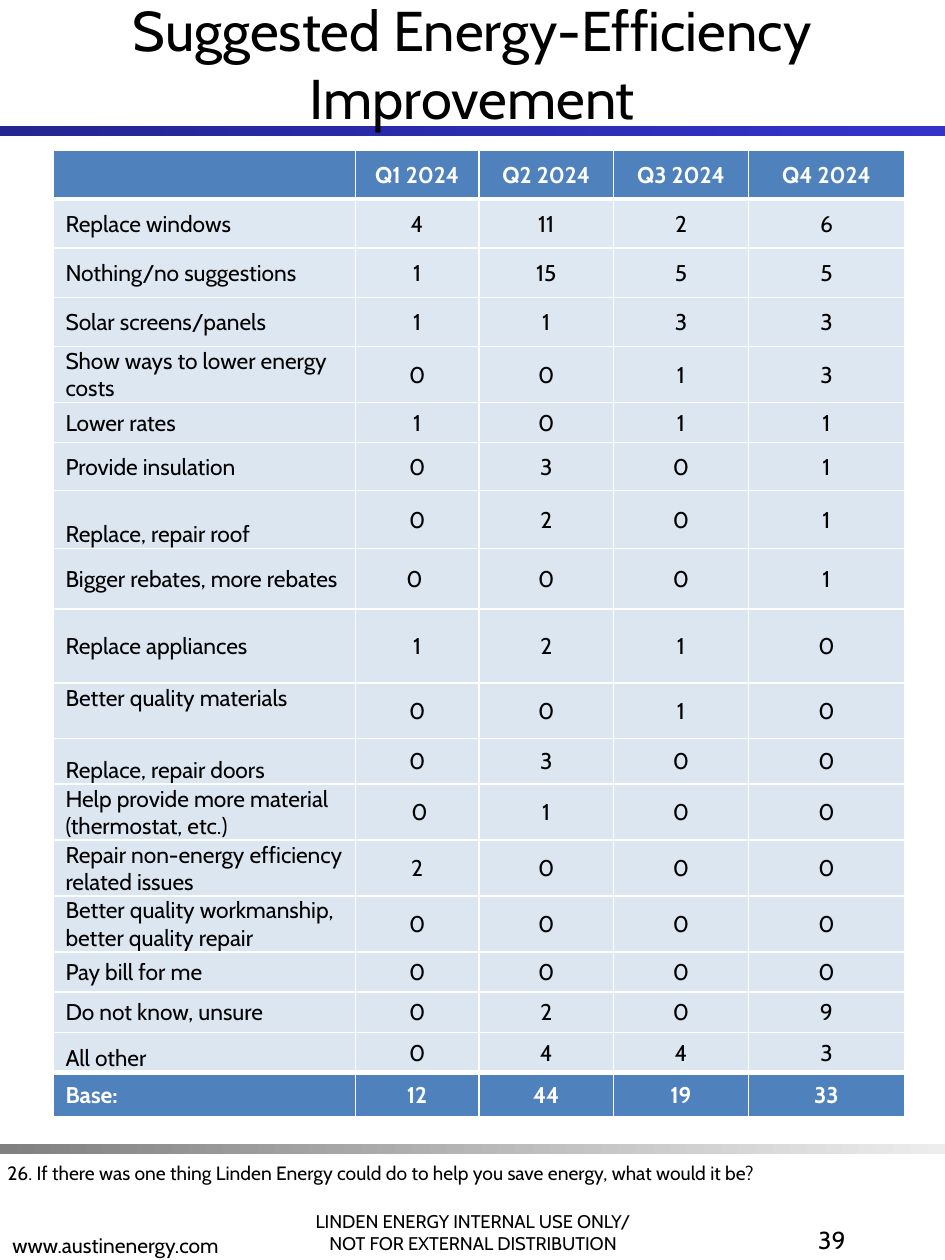
from pptx import Presentation
from pptx import util as u
from pptx.dml.color import RGBColor
from pptx.enum import shapes, text
from pptx.oxml import parse_xml
from pptx.oxml.ns import nsdecls

BLACK = RGBColor(0x00, 0x00, 0x00)
WHITE = RGBColor(0xFF, 0xFF, 0xFF)
NAVY = RGBColor(0x24, 0x24, 0x92)
BLUE = RGBColor(0x33, 0x33, 0xCC)
GREY = RGBColor(0x80, 0x80, 0x80)
PALE = RGBColor(0xED, 0xED, 0xED)
HEAD = RGBColor(0x4F, 0x81, 0xBD)
TINTS = [RGBColor(0xDE, 0xE8, 0xF3), RGBColor(0xDD, 0xE7, 0xF2), RGBColor(0xDC, 0xE6, 0xF1)]

LEFT, MID = text.PP_ALIGN.LEFT, text.PP_ALIGN.CENTER
RIGHT = text.PP_ALIGN.RIGHT
TOP, CENTER = text.MSO_ANCHOR.TOP, text.MSO_ANCHOR.MIDDLE
BOTTOM = text.MSO_ANCHOR.BOTTOM

COLS = [2.4, 0.98, 1.07, 1.07, 1.24]
ROWS = [
    (0.39, CENTER, "", "Q1 2024", "Q2 2024", "Q3 2024", "Q4 2024"),
    (0.39, CENTER, "Replace windows", "4", "11", "2", "6"),
    (0.39, CENTER, "Nothing/no suggestions", "1", "15", "5", "5"),
    (0.39, CENTER, "Solar screens/panels", "1", "1", "3", "3"),
    (0.4, TOP, "Show ways to lower energy costs", "0", "0", "1", "3"),
    (0.32, CENTER, "Lower rates", "1", "0", "1", "1"),
    (0.38, CENTER, "Provide insulation", "0", "3", "0", "1"),
    (0.46, BOTTOM, "Replace, repair roof", "0", "2", "0", "1"),
    (0.48, CENTER, "Bigger rebates, more rebates", "0 ", "0", "0", "1"),
    (0.59, CENTER, "Replace appliances", "1", "2", "1", "0"),
    (0.44, TOP, "Better quality materials", "0", "0", "1", "0"),
    (0.36, BOTTOM, "Replace, repair doors", "0", "3", "0", "0"),
    (0.44, CENTER, "Help provide more material (thermostat, etc.)", " 0", "1", "0", "0"),
    (0.4, CENTER, "Repair non-energy efficiency related issues", "2", "0", "0", "0"),
    (0.4, TOP, "Better quality workmanship, better quality repair", "0", "0", "0", "0"),
    (0.32, CENTER, "Pay bill for me", "0", "0", "0", "0"),
    (0.32, CENTER, "Do not know, unsure", "0", "2", "0", "9"),
    (0.32, BOTTOM, "All other", "0", "4", "4", "3"),
    (0.35, CENTER, "Base:", "12", "44", "19", "33"),
]


class Page:
    font = "Cabin"

    def __init__(self, slide):
        self.slide = slide

    def style(self, frame, size, align=LEFT, color=BLACK, bold=False):
        for para in frame.paragraphs:
            para.alignment = align
            for run in para.runs:
                font = run.font
                font.name, font.size, font.bold = self.font, u.Pt(size), bold
                font.color.rgb = color

    def band(self, top, start, end):
        bar = self.slide.shapes.add_shape(
            shapes.MSO_SHAPE.RECTANGLE, 0, u.Inches(top), u.Inches(7.5), u.Inches(0.08))
        bar.shadow.inherit = False
        bar.line.fill.background()
        bar.fill.gradient()
        bar.fill.gradient_angle = 0
        for stop, color in zip(bar.fill.gradient_stops, (start, end)):
            stop.color.rgb = color

    def title(self, words):
        box = self.slide.shapes.title
        box.left, box.top = u.Inches(0), u.Inches(0)
        box.width, box.height = u.Inches(7.5), u.Inches(1)
        frame = box.text_frame
        frame.text = words
        frame.auto_size = text.MSO_AUTO_SIZE.NONE
        frame.vertical_anchor = CENTER
        self.style(frame, 32, MID)
        box.element.getparent().append(box.element)

    def label(self, words, area, size, align=LEFT, anchor=TOP):
        box = self.slide.shapes.add_textbox(*map(u.Inches, area))
        frame = box.text_frame
        frame.word_wrap = True
        frame.text = words
        frame.vertical_anchor = anchor
        self.style(frame, size, align)

    def border(self, cell, top, bottom):
        props = cell._tc.get_or_add_tcPr()
        for side, width in (("L", 1), ("R", 1), ("T", top), ("B", bottom)):
            props.append(parse_xml(
                f'<a:ln{side} {nsdecls("a")} w="{u.Pt(width)}"><a:solidFill>'
                f'<a:srgbClr val="{WHITE}"/></a:solidFill></a:ln{side}>'))

    def cell(self, cell, words, first, strong, fill, anchor):
        cell.text = words
        cell.margin_left = u.Inches(0.1 if first else 0.01)
        cell.margin_right = cell.margin_top = u.Inches(0.01)
        cell.margin_bottom = 0
        cell.vertical_anchor = anchor if first else CENTER
        cell.fill.solid()
        cell.fill.fore_color.rgb = fill
        self.style(cell.text_frame, 13, LEFT if first else MID,
                   WHITE if strong else BLACK, strong)

    def table(self, left, top, cols, rows):
        last = len(rows) - 1
        high = sum(row[0] for row in rows)
        grid = self.slide.shapes.add_table(
            len(rows), len(cols), u.Inches(left), u.Inches(top),
            u.Inches(sum(cols)), u.Inches(high)).table
        for col, width in zip(grid.columns, cols):
            col.width = u.Inches(width)
        for r, (height, anchor, *words) in enumerate(rows):
            grid.rows[r].height = u.Inches(height)
            strong = r in (0, last)
            fill = HEAD if strong else TINTS[min((r - 1) // 2, 2)]
            for c, word in enumerate(words):
                cell = grid.cell(r, c)
                self.border(cell, 3 if r in (1, last) else 1,
                            3 if r in (0, last - 1) else 1)
                self.cell(cell, word, c == 0, strong, fill, anchor)


def main():
    deck = Presentation()
    deck.slide_width, deck.slide_height = u.Inches(7.5), u.Inches(10)
    page = Page(deck.slides.add_slide(deck.slide_layouts[5]))
    page.band(1, NAVY, BLUE)
    page.band(9.08, GREY, PALE)
    page.label("LINDEN ENERGY INTERNAL USE ONLY/\nNOT FOR EXTERNAL DISTRIBUTION",
               (2.16, 9.33, 3.19, 0.67), 10.5, MID, BOTTOM)
    page.label("www.austinenergy.com", (0, 9.36, 3.19, 0.67), 12, anchor=BOTTOM)
    page.title("Suggested Energy-Efficiency Improvement")
    page.label("39", (5.25, 9.67, 1.56, 0.67), 14, RIGHT)
    page.label("26. If there was one thing Linden Energy could do to help you save energy, "
               "what would it be?", (-0.04, 9.17, 6.85, 0.29), 11)
    page.table(0.42, 1.19, COLS, ROWS)
    deck.save("out.pptx")


if __name__ == "__main__":
    main()
